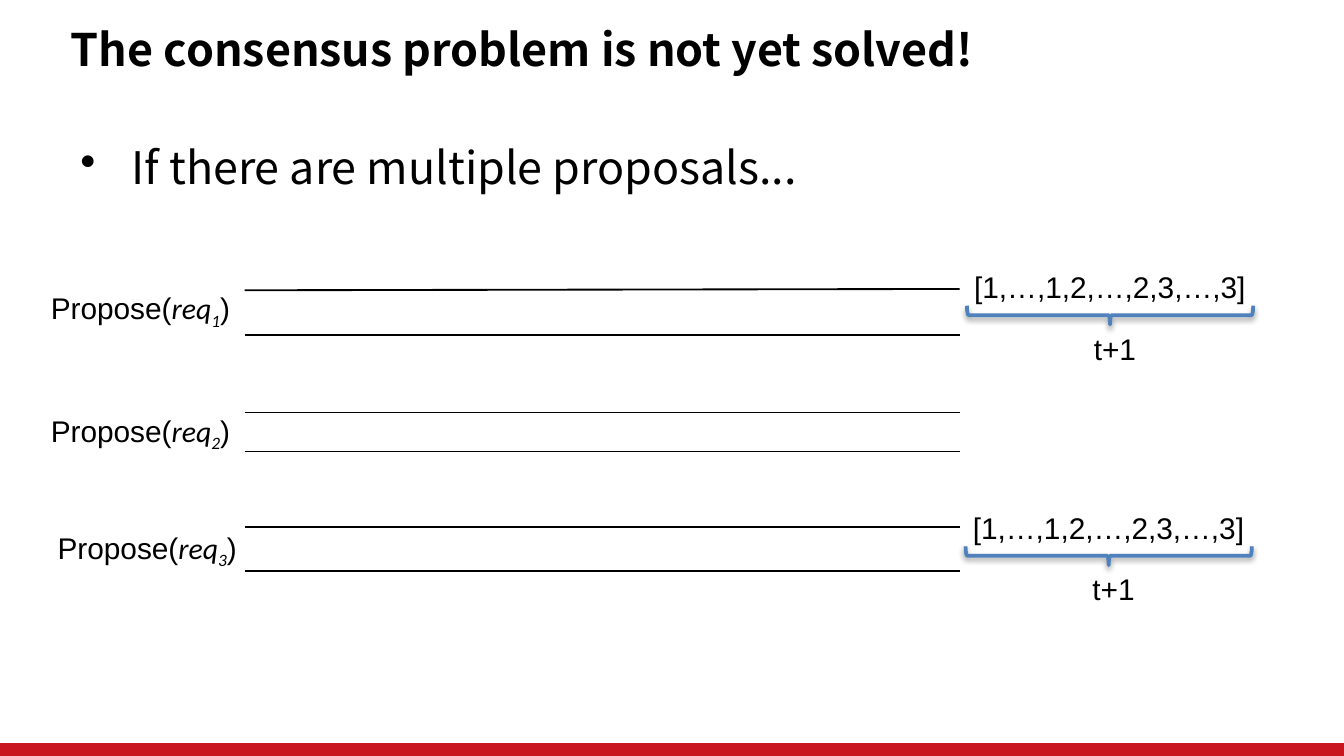
"""Build the slide on several concurrent proposals in the consensus problem."""
from lxml.etree import SubElement
from pptx import Presentation
from pptx.dml.color import RGBColor
from pptx.enum.shapes import MSO_CONNECTOR as Connector, MSO_SHAPE as Shape
from pptx.oxml.ns import qn
from pptx.util import Inches, Pt

BLACK = RGBColor(0x00, 0x00, 0x00)
RED = RGBColor(0xC9, 0x15, 0x1E)
BLUE = RGBColor(0x4F, 0x81, 0xBD)
HEADING_FONT = "Noto Sans CJK SC"
CELL = Inches(0.1)


def grid(*cells):
    return [round(CELL * cell) for cell in cells]


def add_text(area, text, size=16, font="Arial", inset=0.5, wrap=True):
    frame = page.shapes.add_textbox(*grid(*area)).text_frame
    frame.word_wrap = wrap
    frame.margin_top = frame.margin_bottom = round(CELL * inset)
    para = frame.paragraphs[0]
    para.text = text
    para.font.size = Pt(size)
    para.font.name = font
    para.font.color.rgb = BLACK
    return para


deck = Presentation()
deck.slide_width, deck.slide_height = grid(100, 56.25)
page = deck.slides.add_slide(deck.slide_layouts[6])

footer = page.shapes.add_shape(Shape.RECTANGLE, *grid(0, 55.3, 100, 1))
footer.shadow.inherit = False
footer.fill.solid()
footer.fill.fore_color.rgb = RED
footer.line.fill.background()

title = add_text((4.3, 1.6, 69.6, 4.9), "The consensus problem is not yet solved!",
                 24, HEADING_FONT, inset=0, wrap=False)
title.font.bold = True

bullet = add_text((5, 10.4, 86.3, 41.8), "If there are multiple proposals...",
                  24, HEADING_FONT, inset=0)
properties = bullet._p.get_or_add_pPr()
indent = round(CELL * 3.8)
properties.set("marL", str(indent))
properties.set("indent", str(-indent))
mark = properties.makeelement(qn("a:buChar"), {"char": "•"})
properties.insert(0, mark)

lanes = [(21.6, 21.5, 24.9), (30.7, 30.7, 33.6), (39.2, 39.2, 42.5)]
for upper_start, upper_end, lower in lanes:
    for start, end in ((upper_start, upper_end), (lower, lower)):
        edge = page.shapes.add_connector(Connector.STRAIGHT, *grid(18.2, start, 71.4, end))
        edge.line.color.rgb = BLACK
        edge.line.width = Pt(1)
        SubElement(edge._element.spPr, qn("a:effectLst"))

labels = [(2.8, 21.1, 19.4, 3.7), (2.8, 30.2, 17.4, 3.7), (3.3, 38.9, 15.8, 3.7)]
for number, area in enumerate(labels, 1):
    label = add_text(area, "Propose(")
    for text in ("req", str(number)):
        span = label.add_run()
        span.text = text
        span.font.name = "Calibri"
        span.font.italic = True
    span._r.get_or_add_rPr().set("baseline", "-25000")
    label.add_run().text = ")"

for left, top in ((71.5, 19.5), (71.4, 37.4)):
    add_text((left, top, 25.2, 3.7), "[1,…,1,2,…,2,3,…,3]")
    add_text((left + 8.9, top + 4.6, 6.3, 3.7), "t+1")
    brace = page.shapes.add_shape(Shape.LEFT_BRACE, *grid(left + 10.4, top - 6.7, 1.4, 21.3))
    brace.rotation = 270
    brace.fill.background()
    brace.line.color.rgb = BLUE
    brace.line.width = Pt(2)
    brace.shadow.inherit = False
    effects = brace._element.spPr.find(qn("a:effectLst"))
    shadow = SubElement(effects, qn("a:outerShdw"), blurRad=str(Pt(3.1)),
                        dist=str(Pt(1.6)), dir="5400000", rotWithShape="0")
    shade = SubElement(shadow, qn("a:srgbClr"), val=str(BLACK))
    SubElement(shade, qn("a:alpha"), val="38000")

deck.save("out.pptx")
